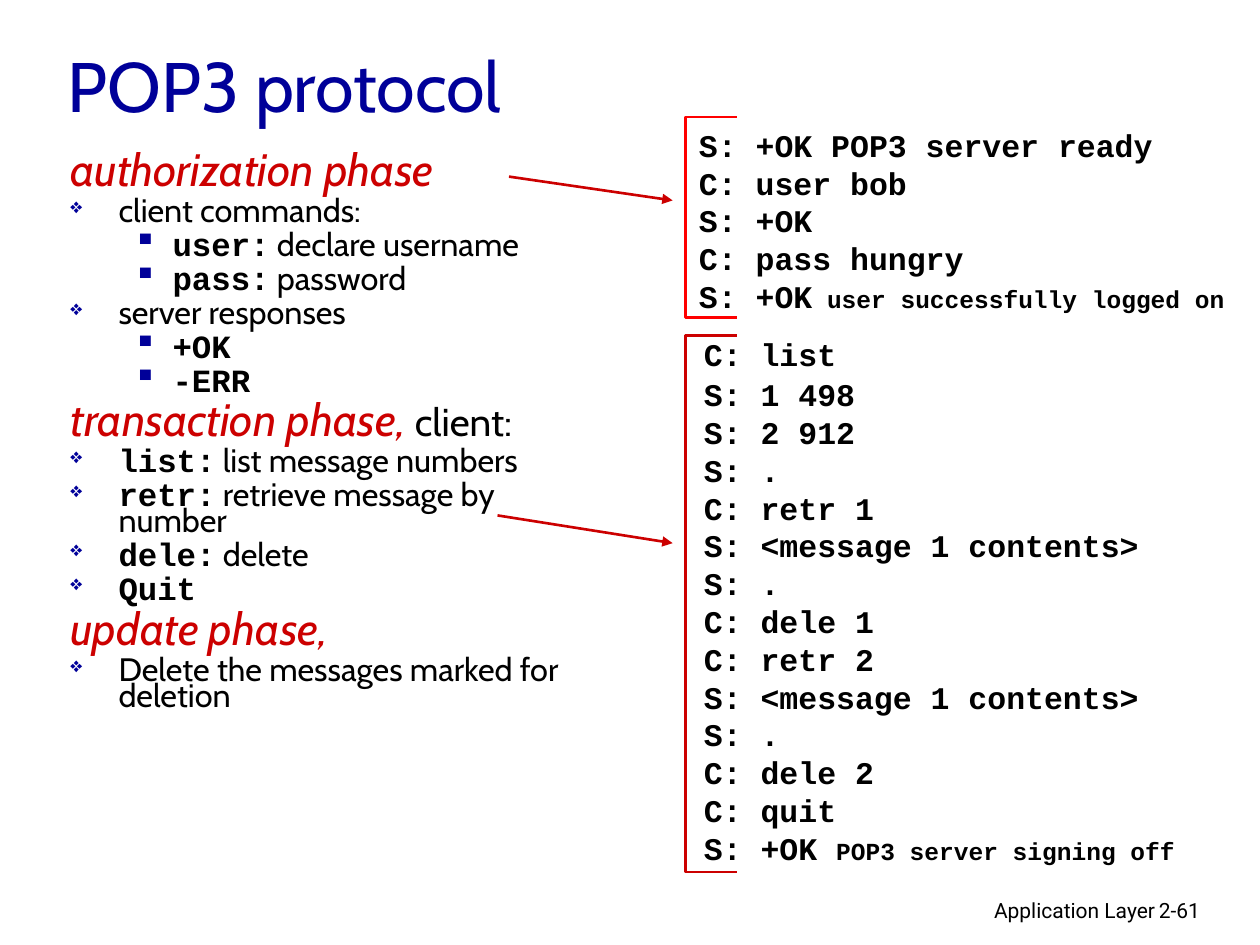
from lxml.etree import SubElement
from pptx import Presentation
from pptx.dml.color import RGBColor
from pptx.enum.shapes import MSO_CONNECTOR
from pptx.enum.text import MSO_ANCHOR, PP_ALIGN
from pptx.oxml.ns import qn
from pptx.util import Cm, Pt

BLACK = RGBColor(0, 0, 0)
NAVY = RGBColor(0, 0, 0x99)
CRIMSON = RGBColor(0xCC, 0, 0)
RED = RGBColor(0xFF, 0, 0)

SANS, MONO, FOOTER_FONT = "Cabin", "Courier New", "Roboto"

TITLE = "POP3 protocol"
FOOTER = [
    ("Application Layer", (15.49, 17.96, 8.05, 0.79), PP_ALIGN.RIGHT),
    ("2-61", (23.11, 17.96, 1.88, 0.76), PP_ALIGN.LEFT),
]

PHASES = [
    ("authorization phase", "", 7, [
        (0, "", "client commands:"),
        (1, "user:", " declare username"),
        (1, "pass:", " password"),
        (0, "", "server responses"),
        (1, "+OK", ""),
        (1, "-ERR", ""),
    ]),
    ("transaction phase,", " client:", 6, [
        (0, "list:", " list message numbers"),
        (0, "retr:", " retrieve message by number"),
        (0, "dele:", " delete"),
        (0, "Quit", ""),
    ]),
    ("update phase,", "", 7, [
        (0, "", "Delete the messages marked for deletion"),
    ]),
]
BULLETS = [("❖", 65, 0.97, 0.97), ("▪", 100, 2.06, 0.79)]

LOGIN = [
    ("S: +OK POP3 server ready", ""),
    ("C: user bob", ""),
    ("S: +OK", ""),
    ("C: pass hungry", ""),
    ("S: +OK", " user successfully logged on"),
]
SESSION = [
    ("C: list", ""),
    ("S: 1 498", ""),
    ("S: 2 912", ""),
    ("S: .", ""),
    ("C: retr 1", ""),
    ("S: <message 1 contents>", ""),
    ("S: .", ""),
    ("C: dele 1", ""),
    ("C: retr 2", ""),
    ("S: <message 1 contents>", ""),
    ("S: .", ""),
    ("C: dele 2", ""),
    ("C: quit", ""),
    ("S: +OK ", "POP3 server signing off"),
]
TRANSCRIPTS = [
    (LOGIN, (13.84, 2.41, 11.4, 4.1), 0),
    (SESSION, (13.94, 6.63, 11.2, 10.6), 1.3),
]

BRACKET_LEFT, BRACKET_RIGHT = 13.82, 14.85
BRACKETS = [(2.36, 6.4, RED), (6.76, 17.58, CRIMSON)]
ARROWS = [(10.26, 3.56, 13.56, 4.04), (10.03, 10.39, 13.56, 10.95)]
LINE_WIDTH = Pt(1.5)


def add_frame(page, place):
    frame = page.shapes.add_textbox(*map(Cm, place)).text_frame
    frame.word_wrap = True
    return frame


def next_paragraph(frame, index):
    return frame.add_paragraph() if index else frame.paragraphs[0]


def add_span(para, text, size, font=SANS, color=BLACK, bold=False, italic=False):
    if not text:
        return
    span = para.add_run()
    span.text = text
    span.font.size = Pt(size)
    span.font.name = font
    span.font.color.rgb = color
    span.font.bold = bold
    span.font.italic = italic


def add_bullet(para, level):
    symbol, percent, margin, hang = BULLETS[level]
    properties = para._p.get_or_add_pPr()
    properties.set("marL", str(Cm(margin)))
    properties.set("indent", str(-Cm(hang)))
    color = SubElement(properties, qn("a:buClr"))
    SubElement(color, qn("a:srgbClr"), val=str(NAVY))
    SubElement(properties, qn("a:buSzPct"), val=str(percent * 1000))
    SubElement(properties, qn("a:buChar"), char=symbol)


def add_phases(page):
    frame = add_frame(page, (1.17, 3.07, 11.02, 12.9))
    count = 0
    for name, suffix, gap, items in PHASES:
        para = next_paragraph(frame, count)
        para.line_spacing = 0.65
        para.space_before = Pt(gap)
        add_span(para, name, 25.9, color=CRIMSON, italic=True)
        add_span(para, suffix, 22.2)
        for level, command, meaning in items:
            para = frame.add_paragraph()
            para.level = level
            para.line_spacing = 0.65
            para.space_before = Pt(5)
            add_bullet(para, level)
            add_span(para, command, 18.5, MONO, bold=True)
            add_span(para, meaning, 18.5)
        count += 1


def add_transcript(page, lines, place, first_gap):
    frame = add_frame(page, place)
    for index, (message, remark) in enumerate(lines):
        para = next_paragraph(frame, index)
        add_span(para, message, 18, MONO, bold=True)
        add_span(para, remark, 14, MONO, bold=True)
    frame.paragraphs[0].space_after = Pt(first_gap)


def add_bracket(page, top, bottom, color):
    builder = page.shapes.build_freeform(Cm(BRACKET_RIGHT), Cm(top))
    corners = [(BRACKET_LEFT, top), (BRACKET_LEFT, bottom), (BRACKET_RIGHT, bottom)]
    builder.add_line_segments([(Cm(x), Cm(y)) for x, y in corners], close=False)
    bracket = builder.convert_to_shape()
    bracket.shadow.inherit = False
    bracket.fill.background()
    bracket.line.color.rgb = color
    bracket.line.width = LINE_WIDTH


def add_arrow(page, ends):
    arrow = page.shapes.add_connector(MSO_CONNECTOR.STRAIGHT, *map(Cm, ends))
    arrow.line.color.rgb = CRIMSON
    arrow.line.width = LINE_WIDTH
    SubElement(arrow.line._get_or_add_ln(), qn("a:tailEnd"), type="triangle")
    SubElement(arrow._element.spPr, qn("a:effectLst"))


def main():
    deck = Presentation()
    deck.slide_width, deck.slide_height = Cm(25.4), Cm(19.05)
    page = deck.slides.add_slide(deck.slide_layouts[6])

    for text, place, alignment in FOOTER:
        para = add_frame(page, place).paragraphs[0]
        para.alignment = alignment
        add_span(para, text, 12, FOOTER_FONT)

    title = add_frame(page, (1.12, 0.36, 21.59, 2.69))
    title.vertical_anchor = MSO_ANCHOR.MIDDLE
    add_span(title.paragraphs[0], TITLE, 40, color=NAVY)

    add_phases(page)
    for transcript in TRANSCRIPTS:
        add_transcript(page, *transcript)
    for bracket in BRACKETS:
        add_bracket(page, *bracket)
    for ends in ARROWS:
        add_arrow(page, ends)

    deck.save("out.pptx")


if __name__ == "__main__":
    main()
